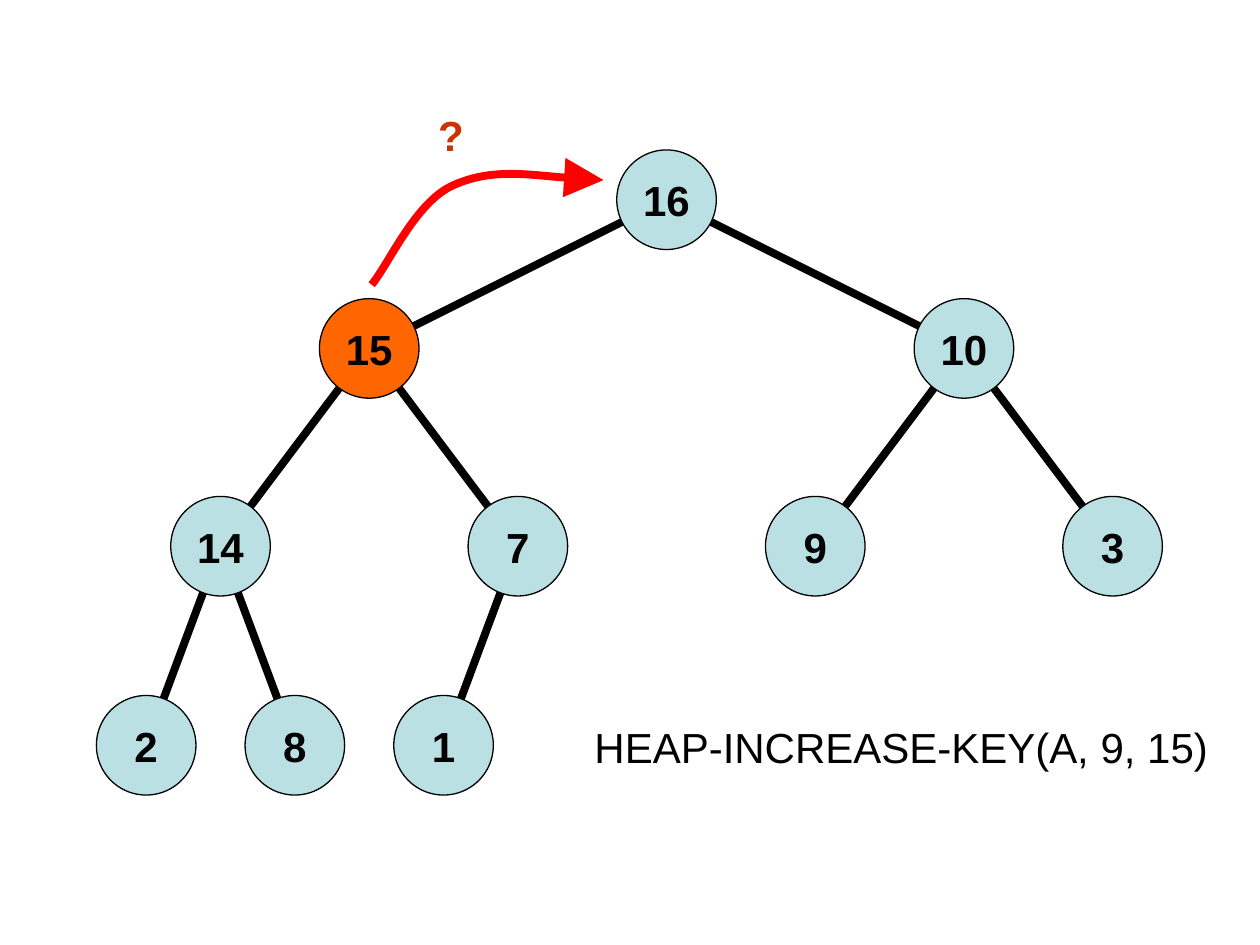
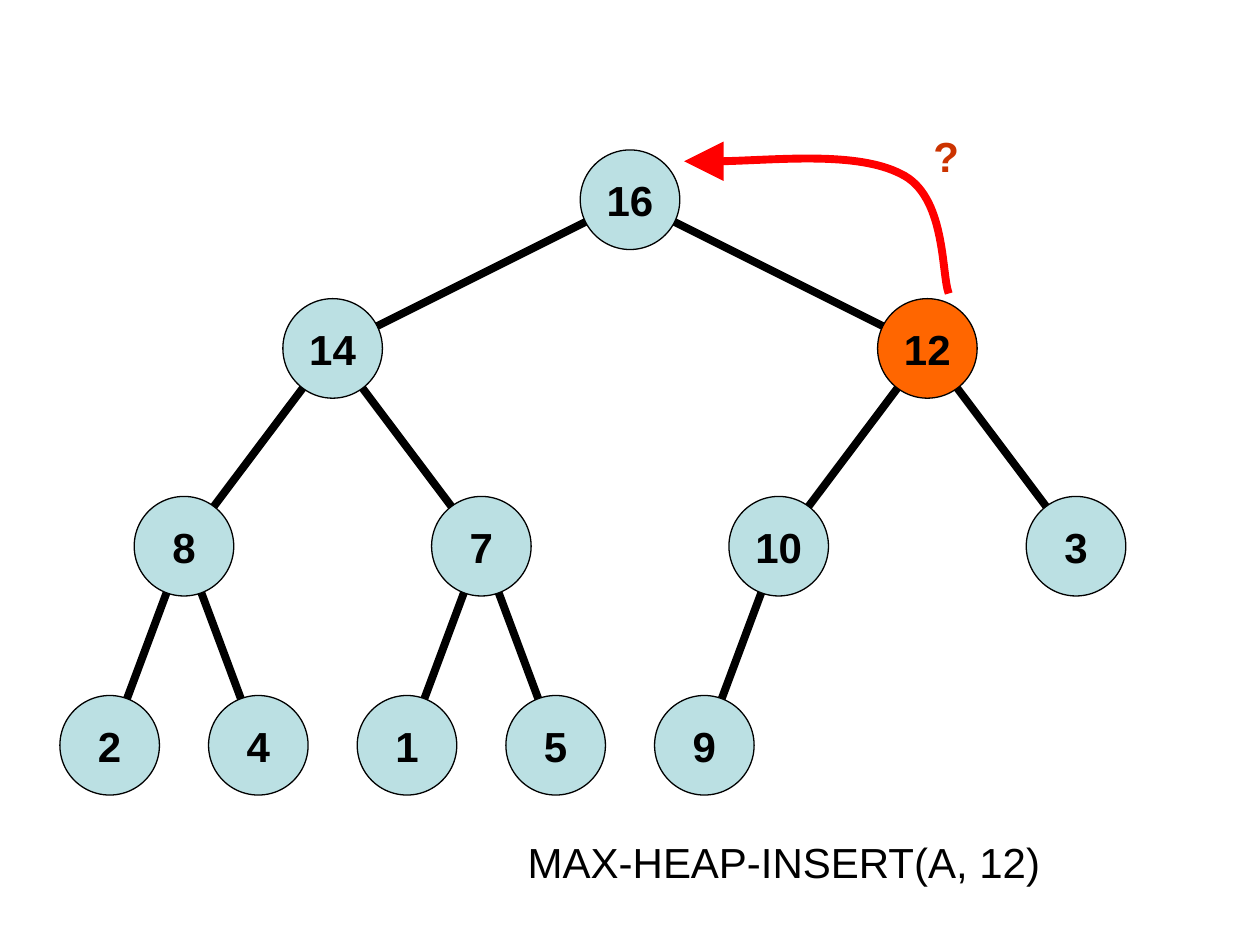
import pptx
import pptx.util
import pptx.dml.color
import pptx.enum.shapes
import pptx.enum.text
import pptx.oxml.ns
from lxml import etree

Inches, Pt = pptx.util.Inches, pptx.util.Pt
qn = pptx.oxml.ns.qn

BLACK, NODE, ACTIVE, ARROW, QUESTION = "000000", "BBE0E3", "FF6600", "FF0000", "CC3300"
FONT, TEXT_SIZE = "Arial", 24
NODE_SIZE = 0.79
LEVELS = [0, 1.18, 2.75, 4.33]  # node tops, below the top of the tree
SPREAD = 2.36                   # sideways step from the root; halves at each level
HEAVY, THIN = 4.5, 0.75


def colour(value):
    return pptx.dml.color.RGBColor.from_string(value)


def set_line(line, value, width):
    line.color.rgb = colour(value)
    line.width = Pt(width)


def add_run(para, text, value, bold):
    span = para.add_run()
    span.text = text
    span.font.name = FONT
    span.font.size = Pt(TEXT_SIZE)
    span.font.bold = bold
    span.font.color.rgb = colour(value)


def add_label(page, box, text, value=BLACK, bold=False):
    frame = page.shapes.add_textbox(*map(Inches, box)).text_frame
    frame.word_wrap = False
    frame.auto_size = pptx.enum.text.MSO_AUTO_SIZE.SHAPE_TO_FIT_TEXT
    add_run(frame.paragraphs[0], text, value, bold)


def node_centre(index, centre_x, top):
    """Centre of the node with this 1-based heap index."""
    depth = index.bit_length() - 1
    x = centre_x
    for level in range(depth):
        right = index >> (depth - 1 - level) & 1
        x += (SPREAD if right else -SPREAD) / 2 ** level
    return x, top + LEVELS[depth] + NODE_SIZE / 2


def add_edge(page, start, end):
    edge = page.shapes.add_connector(
        pptx.enum.shapes.MSO_CONNECTOR.STRAIGHT, *map(Inches, start + end))
    set_line(edge.line, BLACK, HEAVY)
    etree.SubElement(edge._element.spPr, qn("a:effectLst"))


def add_node(page, centre, key, fill):
    x, y = centre
    node = page.shapes.add_shape(
        pptx.enum.shapes.MSO_SHAPE.OVAL, Inches(x - NODE_SIZE / 2),
        Inches(y - NODE_SIZE / 2), Inches(NODE_SIZE), Inches(NODE_SIZE))
    node.shadow.inherit = False
    node.fill.solid()
    node.fill.fore_color.rgb = colour(fill)
    set_line(node.line, BLACK, THIN)
    frame = node.text_frame
    frame.word_wrap = False
    frame.margin_left = frame.margin_right = 0
    frame.vertical_anchor = pptx.enum.text.MSO_ANCHOR.MIDDLE
    para = frame.paragraphs[0]
    para.alignment = pptx.enum.text.PP_ALIGN.CENTER
    add_run(para, str(key), BLACK, True)


def add_heap(page, centre_x, top, keys, active):
    """Keys in heap order; the node holding the active key stands out."""
    centres = [node_centre(index, centre_x, top) for index in range(1, len(keys) + 1)]
    # Edges lie behind the nodes
    for child in range(len(keys) - 1, 0, -1):
        add_edge(page, centres[child], centres[(child - 1) // 2])
    for centre, key in zip(centres, keys):
        add_node(page, centre, key, ACTIVE if key == active else NODE)


def add_curved_arrow(page, points):
    """Bezier curve: a start point, then three points for each section."""
    start, *rest = [(Inches(x), Inches(y)) for x, y in points]
    builder = page.shapes.build_freeform(*start)
    builder.add_line_segments(rest, close=False)
    arrow = builder.convert_to_shape()
    # Join every three straight segments into one curve
    segments = list(arrow._element.iter(qn("a:lnTo")))
    for first in range(0, len(segments), 3):
        curve = etree.Element(qn("a:cubicBezTo"))
        segments[first].addprevious(curve)
        for segment in segments[first:first + 3]:
            curve.append(segment[0])
            segment.getparent().remove(segment)
    arrow.shadow.inherit = False
    arrow.fill.background()
    set_line(arrow.line, ARROW, HEAVY)
    etree.SubElement(arrow.line._get_or_add_ln(), qn("a:tailEnd"),
                     type="triangle", w="lg", len="lg")


def heap_slide(deck, centre_x, keys, active, curve, question, call, call_box):
    page = deck.slides.add_slide(deck.slide_layouts[6])
    add_heap(page, centre_x, 1.19, keys, active)
    add_curved_arrow(page, curve)
    add_label(page, (*question, 0.4, 0.5), "?", QUESTION, True)
    add_label(page, call_box, call)


def main():
    deck = pptx.Presentation()
    deck.slide_width, deck.slide_height = Inches(10), Inches(7.5)
    heap_slide(
        deck, 5.29, [16, 15, 10, 14, 7, 9, 3, 2, 8, 1], 15,
        [(2.95, 2.26), (3.09, 2.09), (3.3, 1.6), (3.6, 1.47),
         (3.91, 1.33), (4.6, 1.43), (4.79, 1.43)],
        (3.38, 0.82), "HEAP-INCREASE-KEY(A, 9, 15)", (4.62, 5.68, 5.07, 0.5))
    heap_slide(
        deck, 5, [16, 14, 12, 8, 7, 10, 3, 2, 4, 1, 5, 9], 12,
        [(7.53, 2.33), (7.47, 2.17), (7.51, 1.55), (7.15, 1.38),
         (6.8, 1.2), (5.79, 1.3), (5.43, 1.28)],
        (7.31, 0.99), "MAX-HEAP-INSERT(A, 12)", (4.09, 6.59, 4.27, 0.5))
    deck.save("out.pptx")


if __name__ == "__main__":
    main()
